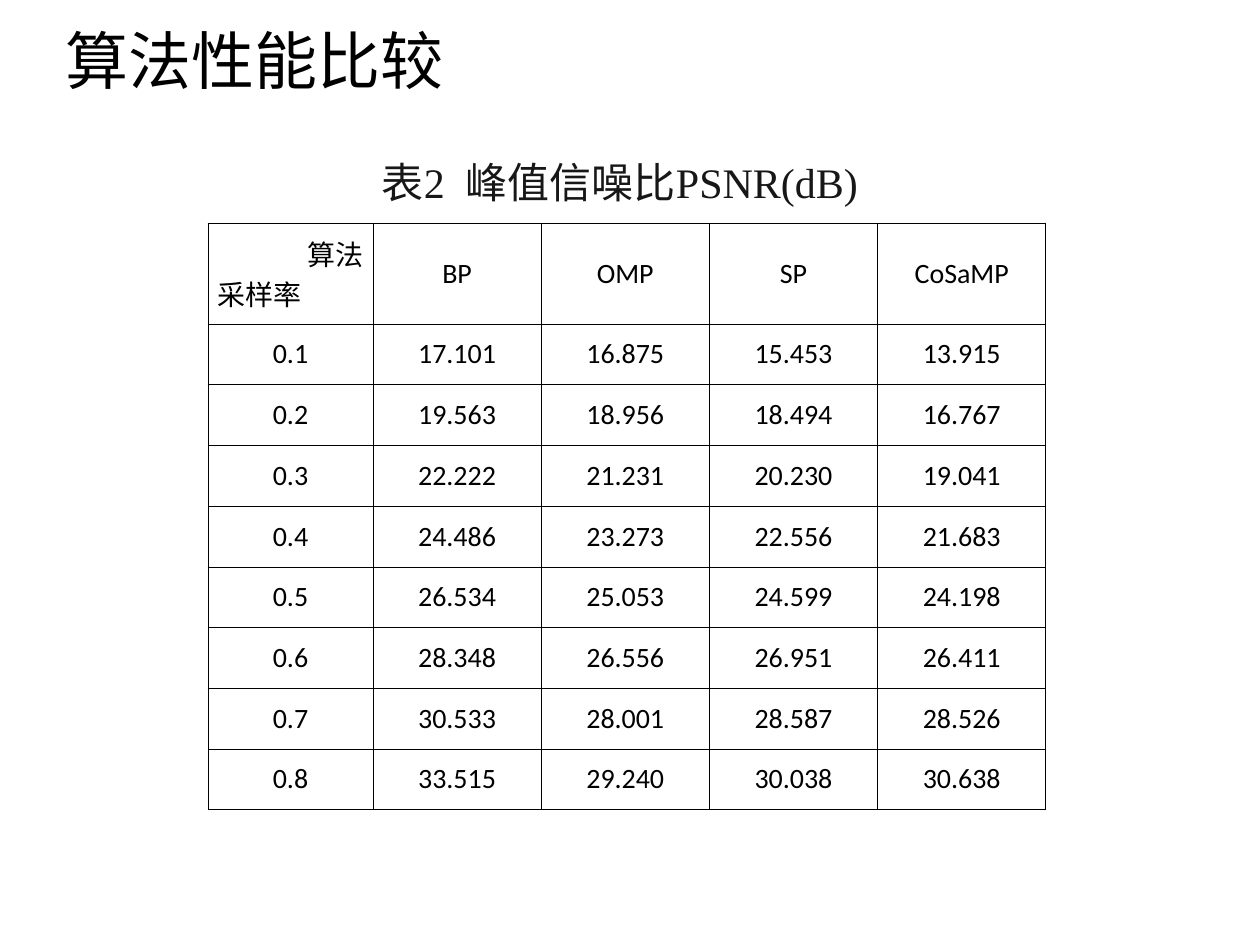
from pptx import Presentation
from pptx.dml.color import RGBColor
from pptx.enum.text import MSO_ANCHOR, MSO_AUTO_SIZE, PP_ALIGN
from pptx.oxml import parse_xml
from pptx.oxml.ns import nsdecls
from pptx.util import Emu, Pt

# Content
TITLE = "算法性能比较"
CAPTION = "表2  峰值信噪比PSNR(dB)"
CORNER = [("算法", PP_ALIGN.RIGHT), ("采样率", PP_ALIGN.LEFT)]
ALGORITHMS = ["BP", "OMP", "SP", "CoSaMP"]
PSNR = [
    ("0.1", "17.101", "16.875", "15.453", "13.915"),
    ("0.2", "19.563", "18.956", "18.494", "16.767"),
    ("0.3", "22.222", "21.231", "20.230", "19.041"),
    ("0.4", "24.486", "23.273", "22.556", "21.683"),
    ("0.5", "26.534", "25.053", "24.599", "24.198"),
    ("0.6", "28.348", "26.556", "26.951", "26.411"),
    ("0.7", "30.533", "28.001", "28.587", "28.526"),
    ("0.8", "33.515", "29.240", "30.038", "30.638"),
]

BLACK = RGBColor(0x00, 0x00, 0x00)
CAPTION_INK = RGBColor(0x18, 0x17, 0x17)
BORDER_WIDTH = Pt(0.45)

# Lengths in px, 126 to the inch
TITLE_BOX = (53, 15, 403, 88)
CAPTION_BOX = (354, 125, 532, 88)
TABLE_BOX = (208, 223, 838, 587)
RATE_WIDTH, HEADER_HEIGHT = 165, 101
CELL_MARGIN = 10


def px(length):
    return Emu(round(length * 914400 / 126))


def write(paragraph, text, size, font, color, align):
    paragraph.alignment = align
    span = paragraph.add_run()
    span.text = text
    span.font.size = Pt(size)
    span.font.name = font
    span.font.color.rgb = color


def add_text(page, place, text, size, font, color, align):
    box = page.shapes.add_textbox(*map(px, place))
    box.text_frame.word_wrap = False
    box.text_frame.auto_size = MSO_AUTO_SIZE.SHAPE_TO_FIT_TEXT
    paragraph = box.text_frame.paragraphs[0]
    write(paragraph, text, size, font, color, align)
    return paragraph


def add_borders(cell):
    properties = cell._tc.get_or_add_tcPr()
    for side in ("lnL", "lnR", "lnT", "lnB"):
        properties.append(parse_xml(
            f'<a:{side} {nsdecls("a")} w="{BORDER_WIDTH}"><a:solidFill>'
            f'<a:srgbClr val="{BLACK}"/></a:solidFill></a:{side}>'))


def fill_cell(cell, lines):
    add_borders(cell)
    cell.fill.background()
    cell.vertical_anchor = MSO_ANCHOR.MIDDLE
    cell.margin_left = cell.margin_right = px(CELL_MARGIN)
    for index, (text, align) in enumerate(lines):
        frame = cell.text_frame
        paragraph = frame.add_paragraph() if index else frame.paragraphs[0]
        write(paragraph, text, 16, "Calibri", BLACK, align)


def add_psnr_table(page):
    header = [CORNER] + [[(name, PP_ALIGN.CENTER)] for name in ALGORITHMS]
    body = [[[(value, PP_ALIGN.CENTER)] for value in row] for row in PSNR]
    rows = [header] + body
    table = page.shapes.add_table(
        len(rows), len(header), *map(px, TABLE_BOX)).table
    table.first_row = table.horz_banding = False

    # First row and column have their own size, the rest share equally
    width, height = TABLE_BOX[2:]
    for index, column in enumerate(table.columns):
        column.width = px((width - RATE_WIDTH) / len(ALGORITHMS)
                          if index else RATE_WIDTH)
    for index, row in enumerate(table.rows):
        row.height = px((height - HEADER_HEIGHT) / len(PSNR)
                        if index else HEADER_HEIGHT)

    for r, row in enumerate(rows):
        for c, lines in enumerate(row):
            fill_cell(table.cell(r, c), lines)


def main():
    deck = Presentation()
    deck.slide_width, deck.slide_height = px(1260), px(945)
    page = deck.slides.add_slide(deck.slide_layouts[6])

    # Title, table and its caption
    add_text(page, TITLE_BOX, TITLE, 36, "Calibri", BLACK, PP_ALIGN.LEFT)
    add_psnr_table(page)
    caption = add_text(page, CAPTION_BOX, CAPTION, 24, "Times New Roman",
                       CAPTION_INK, PP_ALIGN.CENTER)
    caption.line_spacing = 1.5

    deck.save("out.pptx")


if __name__ == "__main__":
    main()
